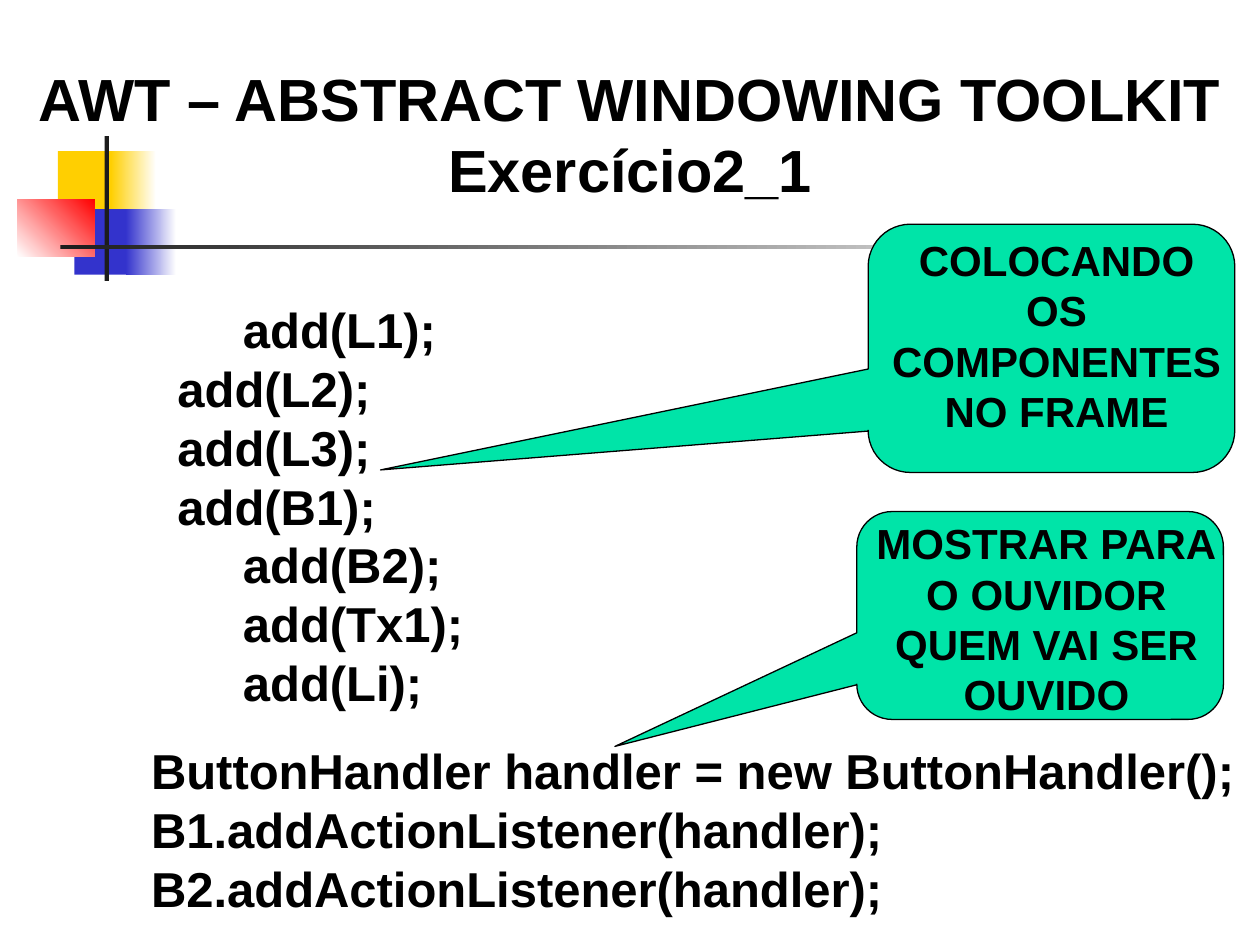
import pptx
import pptx.dml.color
import pptx.enum.shapes
import pptx.enum.text
import pptx.util

COLUMNS, ROWS = 100, 75
WIDTH, HEIGHT = pptx.util.Inches(10), pptx.util.Inches(7.5)
LINE_HEIGHT = 1.2
FONT = "Arial"
COLORS = {
    "yellow": "FFCF01",
    "blue": "3333CC",
    "red": "FF0000",
    "dark": "1C1C1C",
    "green": "00E4A8",
    "white": "FFFFFF",
    "black": "000000",
}
DECORATION = [
    ((4.6, 12, 4.8, 5.2), ["yellow"], 0),
    ((8.8, 12, 3.6, 5.2), ["yellow", "white"], 0),
    ((5.9, 16.6, 4.6, 5.2), ["blue"], 0),
    ((10, 16.6, 4, 5.2), ["blue", "white"], 0),
    ((1.4, 15.8, 6.1, 4.6), ["white", "red"], 45),
    ((8.3, 10.8, 0.35, 11.5), ["dark"], 0),
    ((4.8, 19.45, 90, 0.35), ["dark", "white"], 0),
]
TITLE = ["AWT – ABSTRACT WINDOWING TOOLKIT", "Exercício2_1"]
CODE_BLOCKS = [
    (1.48, 0, ["add(L1);"]),
    (0.96, 0, ["add(L2);", "add(L3);", "add(B1);"]),
    (1.48, 0, ["add(B2);", "add(Tx1);", "add(Li);"]),
    (0.75, 16.8, [
        "ButtonHandler handler = new ButtonHandler();",
        "B1.addActionListener(handler);",
        "B2.addActionListener(handler);",
    ]),
]
CALLOUTS = [
    ((68.9, 17.8, 29.1, 19.7), (-1.83, 0.49, 0.17), (68.9, 18.1, 29.9, 17),
     ["COLOCANDO", "OS", "COMPONENTES", "NO FRAME"]),
    ((68, 40.6, 29.1, 16.5), (-1.16, 0.63, 0.17), (68.1, 40.6, 29.9, 17),
     ["MOSTRAR PARA", "O OUVIDOR", "QUEM VAI SER OUVIDO"]),
]


def color(name):
    """Return the named color."""
    return pptx.dml.color.RGBColor.from_string(COLORS[name])


def cells(left, top, width, height):
    """Convert grid columns and rows to slide lengths."""
    column, row = WIDTH / COLUMNS, HEIGHT / ROWS
    return [round(length) for length in (left * column, top * row, width * column, height * row)]


def add_block(slide, area, names, angle):
    """Add a rectangle with a solid or two-color gradient fill."""
    shape = slide.shapes.add_shape(pptx.enum.shapes.MSO_SHAPE.RECTANGLE, *cells(*area))
    shape.shadow.inherit = False
    shape.line.fill.background()
    if len(names) == 1:
        shape.fill.solid()
        shape.fill.fore_color.rgb = color(names[0])
    else:
        shape.fill.gradient()
        shape.fill.gradient_angle = angle
        for stop, name in zip(shape.fill.gradient_stops, names):
            stop.color.rgb = color(name)


def add_text(slide, area, lines, size, alignment):
    """Add a bold text box and return its paragraphs."""
    frame = slide.shapes.add_textbox(*cells(*area)).text_frame
    frame.word_wrap = True
    frame.text = "\n".join(lines)
    for paragraph in frame.paragraphs:
        paragraph.alignment = alignment
        paragraph.line_spacing = pptx.util.Pt(size * LINE_HEIGHT)
        paragraph.font.name = FONT
        paragraph.font.size = pptx.util.Pt(size)
        paragraph.font.bold = True
        paragraph.font.color.rgb = color("black")
    return frame.paragraphs


def add_code(slide, area, blocks):
    """Add code lines indented block by block."""
    lines = [line for _, _, block in blocks for line in block]
    paragraphs = iter(add_text(slide, area, lines, 28, pptx.enum.text.PP_ALIGN.LEFT))
    for indent, gap, block in blocks:
        for index in range(len(block)):
            paragraph = next(paragraphs)
            properties = paragraph._p.get_or_add_pPr()
            properties.set("marL", str(pptx.util.Inches(indent)))
            properties.set("indent", "0")
            if gap and index == 0:
                paragraph.space_before = pptx.util.Pt(gap)


def add_callout(slide, area, adjustments, text_area, lines):
    """Add a green rounded callout with its centered label."""
    kind = pptx.enum.shapes.MSO_SHAPE.ROUNDED_RECTANGULAR_CALLOUT
    shape = slide.shapes.add_shape(kind, *cells(*area))
    shape.shadow.inherit = False
    for index, value in enumerate(adjustments):
        shape.adjustments[index] = value
    shape.fill.solid()
    shape.fill.fore_color.rgb = color("green")
    shape.line.color.rgb = color("black")
    shape.line.width = pptx.util.Pt(0.75)
    add_text(slide, text_area, lines, 24, pptx.enum.text.PP_ALIGN.CENTER)


def main():
    """Build and save the presentation."""
    presentation = pptx.Presentation()
    presentation.slide_width, presentation.slide_height = WIDTH, HEIGHT
    slide = presentation.slides.add_slide(presentation.slide_layouts[6])
    for block in DECORATION:
        add_block(slide, *block)
    add_text(slide, (0, 4.4, 100, 12.4), TITLE, 34, pptx.enum.text.PP_ALIGN.CENTER)
    add_code(slide, (3.5, 23.3, 96.5, 50.1), CODE_BLOCKS)
    for callout in CALLOUTS:
        add_callout(slide, *callout)
    presentation.save("out.pptx")


if __name__ == "__main__":
    main()
